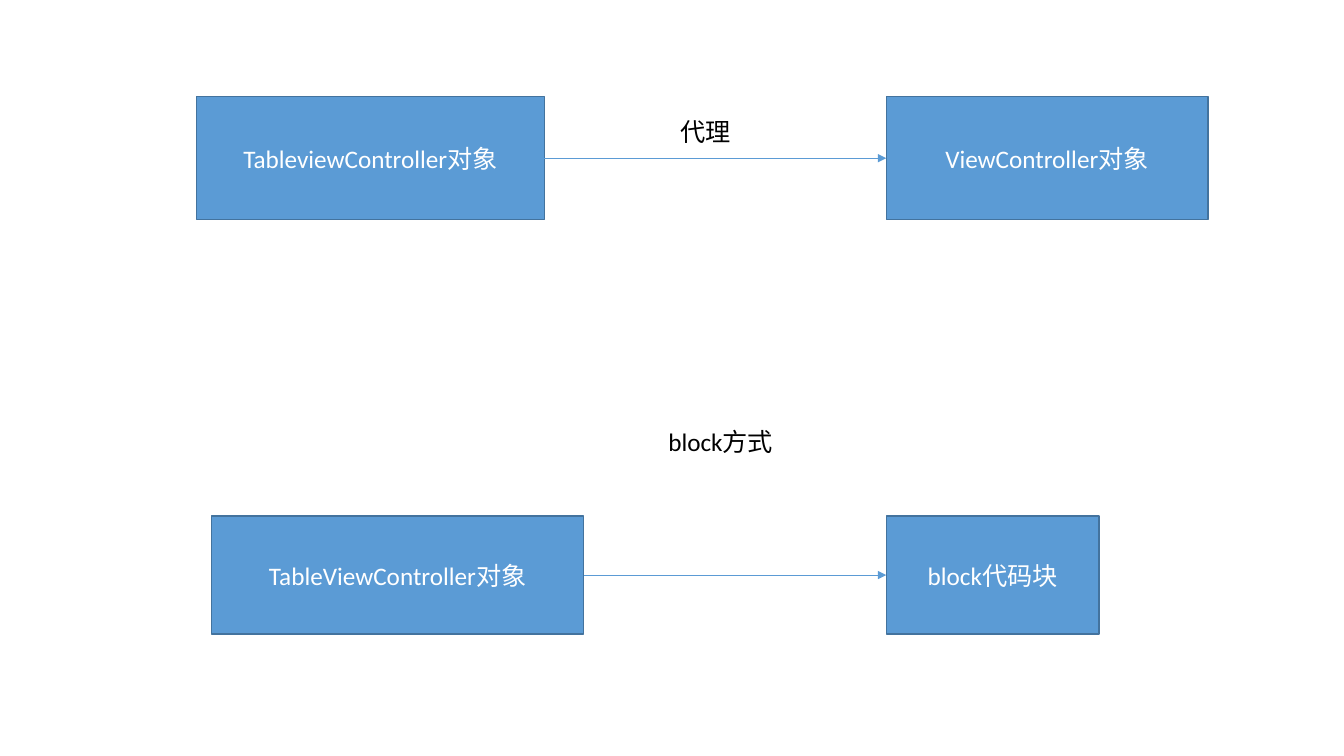
from lxml import etree
from pptx import Presentation
from pptx.dml.color import RGBColor
from pptx.enum.shapes import MSO_CONNECTOR, MSO_SHAPE
from pptx.enum.text import MSO_ANCHOR, MSO_AUTO_SIZE, PP_ALIGN
from pptx.oxml.ns import qn
from pptx.util import Inches, Pt

BLUE, DARK_BLUE, WHITE, BLACK = "5B9BD5", "43739E", "FFFFFF", "000000"
RIGHT_COLUMN = 8.79
RIGHT_SIDE, LEFT_SIDE = 3, 1


def color(hex_value):
    return RGBColor.from_string(hex_value)


def write_text(shape, text, text_color, frame_format, alignment):
    frame = shape.text_frame
    for name, value in frame_format.items():
        setattr(frame, name, value)
    paragraph = frame.paragraphs[0]
    paragraph.alignment = alignment
    run = paragraph.add_run()
    run.text = text
    for name, value in {"name": "Calibri", "size": Pt(18)}.items():
        setattr(run.font, name, value)
    run.font.color.rgb = color(text_color)


def add_box(slide, text, left, top, width, height):
    box = slide.shapes.add_shape(
        MSO_SHAPE.RECTANGLE, Inches(left), Inches(top), Inches(width), Inches(height)
    )
    box.shadow.inherit = False
    box.fill.solid()
    box.fill.fore_color.rgb = color(BLUE)
    box.line.color.rgb = color(DARK_BLUE)
    box.line.width = Pt(1)
    frame_format = {"word_wrap": True, "vertical_anchor": MSO_ANCHOR.MIDDLE}
    write_text(box, text, WHITE, frame_format, PP_ALIGN.CENTER)
    return box


def add_label(slide, text, left, top, width):
    label = slide.shapes.add_textbox(Inches(left), Inches(top), Inches(width), Inches(0.4))
    frame_format = {"word_wrap": True, "auto_size": MSO_AUTO_SIZE.SHAPE_TO_FIT_TEXT}
    write_text(label, text, BLACK, frame_format, PP_ALIGN.LEFT)


def add_arrow(slide, source, target):
    arrow = slide.shapes.add_connector(MSO_CONNECTOR.STRAIGHT, 0, 0, 0, 0)
    arrow.begin_connect(source, RIGHT_SIDE)
    arrow.end_connect(target, LEFT_SIDE)
    arrow.line.color.rgb = color(BLUE)
    arrow.line.width = Pt(0.5)
    properties = arrow.line._get_or_add_ln()
    etree.SubElement(properties, qn("a:tailEnd"), type="triangle")
    etree.SubElement(properties.getparent(), qn("a:effectLst"))


def add_flow(slide, top, height, source, target):
    source_text, source_left, source_width = source
    target_text, target_width = target
    source_box = add_box(slide, source_text, source_left, top, source_width, height)
    target_box = add_box(slide, target_text, RIGHT_COLUMN, top, target_width, height)
    add_arrow(slide, source_box, target_box)


def main():
    """Build the slide comparing the delegate and block callbacks."""
    presentation = Presentation()
    presentation.slide_width = Inches(13.33)
    presentation.slide_height = Inches(7.5)
    slide = presentation.slides.add_slide(presentation.slide_layouts[6])
    add_flow(
        slide, 0.96, 1.22, ("TableviewController对象", 1.95, 3.45), ("ViewController对象", 3.19)
    )
    add_label(slide, "代理", 6.65, 1.1, 0.9)
    add_label(slide, "block方式", 6.53, 4.18, 1.25)
    add_flow(
        slide, 5.12, 1.17, ("TableViewController对象", 2.1, 3.69), ("block代码块", 2.11)
    )
    presentation.save("out.pptx")


if __name__ == "__main__":
    main()
